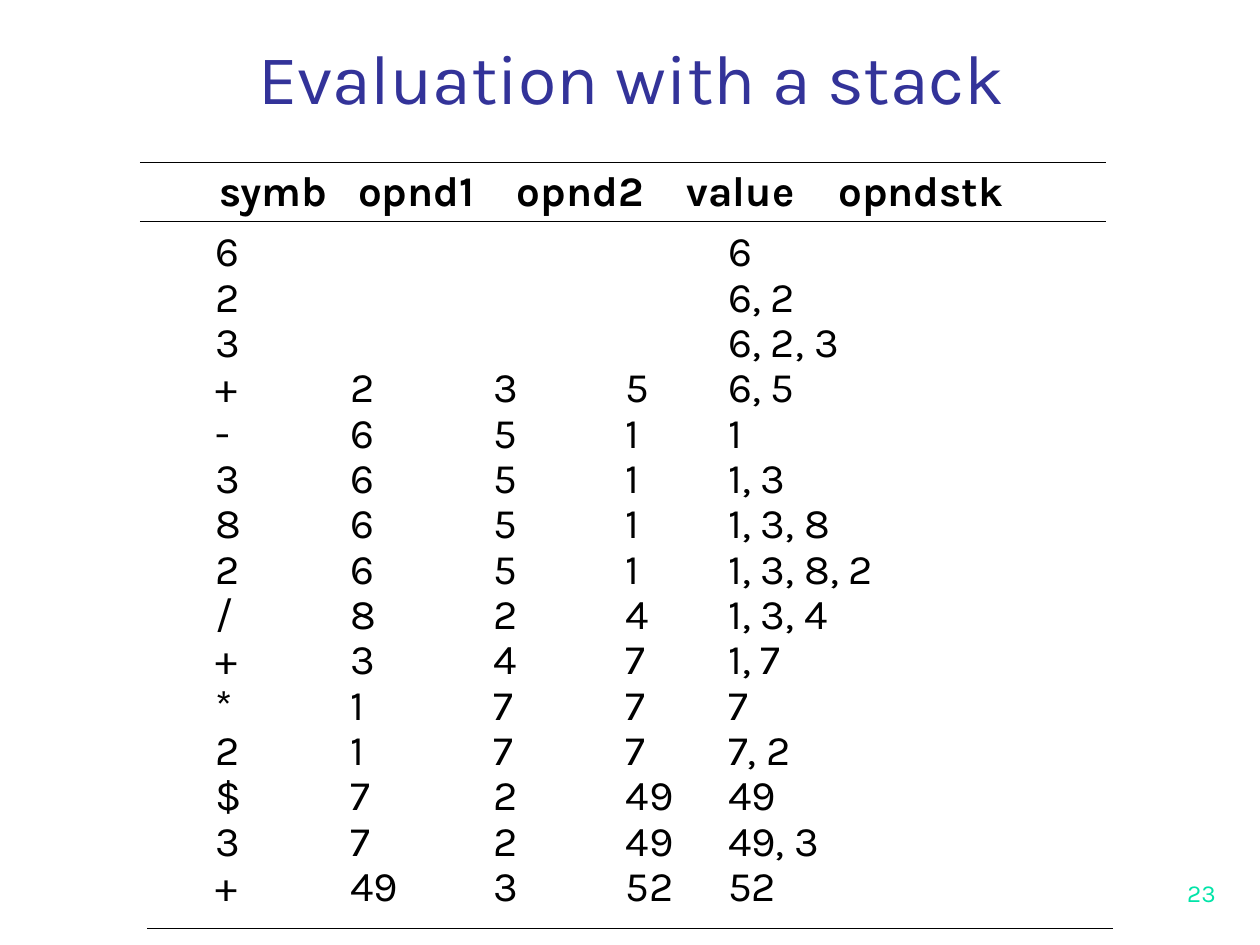
from lxml.etree import SubElement
from pptx import Presentation
from pptx.dml.color import RGBColor as RGB
from pptx.enum.shapes import MSO_CONNECTOR as Conn
from pptx.enum.text import MSO_ANCHOR as Anchor, PP_ALIGN as Align
from pptx.oxml.ns import qn
from pptx.util import Cm, Pt

# Content
TITLE = "Evaluation with a stack"
PAGE = "23"
HEADER = ("symb", "opnd1", "opnd2", "value", "opndstk")
STEPS = [
    ("6", "", "", "", "6"),
    ("2", "", "", "", "6, 2"),
    ("3", "", "", "", "6, 2, 3"),
    ("+", "2", "3", "5", "6, 5"),
    ("-", "6", "5", "1", "1"),
    ("3", "6", "5", "1", "1, 3"),
    ("8", "6", "5", "1", "1, 3, 8"),
    ("2", "6", "5", "1", "1, 3, 8, 2"),
    ("/", "8", "2", "4", "1, 3, 4"),
    ("+", "3", "4", "7", "1, 7"),
    ("*", "1", "7", "7", "7"),
    ("2", "1", "7", "7", "7, 2"),
    ("$", "7", "2", "49", "49"),
    ("3", "7", "2", "49", "49, 3"),
    ("+", "49", "3", "52", "52"),
]

# Layout in cm: column stops, measured from the text edge, and rules
HEADER_STOPS = (2.8, 6, 9.42, 12.48)
STEP_STOPS = (2.72, 5.61, 8.28, 10.34)
RULES = [(2.82, 3.28), (2.82, 4.47), (2.97, 18.72)]
RULE_WIDTH = 19.47

THEME = {
    "font": "Karla",
    "title": (Pt(40), RGB(0x33, 0x33, 0x99)),
    "body": (Pt(24), RGB(0, 0, 0)),
    "page": (Pt(14), RGB(0x00, 0xE4, 0xA8)),
}


def add_text(slide, box, lines, style, align=Align.LEFT, anchor=Anchor.TOP,
             stops=(), spacing=1.0, bold=False):
    tf = slide.shapes.add_textbox(*map(Cm, box)).text_frame
    tf.word_wrap = True
    tf.vertical_anchor = anchor
    for i, line in enumerate(lines):
        p = tf.add_paragraph() if i else tf.paragraphs[0]
        p.text = line
        p.alignment = align
        p.line_spacing = spacing
        if stops:
            tabs = SubElement(p._p.get_or_add_pPr(), qn("a:tabLst"))
            for stop in stops:
                SubElement(tabs, qn("a:tab"), pos=str(Cm(stop)), algn="l")
        p.font.name = THEME["font"]
        p.font.size, p.font.color.rgb = THEME[style]
        p.font.bold = bold


def add_rule(slide, x, y):
    line = slide.shapes.add_connector(
        Conn.STRAIGHT, Cm(x), Cm(y), Cm(x + RULE_WIDTH), Cm(y))
    line.line.color.rgb = THEME["body"][1]
    line.line.width = Pt(0.75)
    SubElement(line._element.spPr, qn("a:effectLst"))


def main():
    prs = Presentation()
    prs.slide_width, prs.slide_height = Cm(25.4), Cm(19.05)
    slide = prs.slides.add_slide(prs.slide_layouts[6])

    # Title
    add_text(slide, (1.9, -0.03, 21.65, 2.54), [TITLE], "title",
             Align.CENTER, Anchor.BOTTOM)

    # Trace of the evaluation, one tabbed line per symbol
    add_text(slide, (4.17, 3.2, 16.71, 1.27), ["\t".join(HEADER)], "body",
             stops=HEADER_STOPS, bold=True)
    add_text(slide, (4.09, 4.52, 19.53, 13.97), map("\t".join, STEPS), "body",
             stops=STEP_STOPS, spacing=0.9)
    for x, y in RULES:
        add_rule(slide, x, y)

    # Page number
    add_text(slide, (19.48, 17.15, 5.28, 1.27), [PAGE], "page",
             Align.RIGHT, Anchor.BOTTOM)

    prs.save("out.pptx")


if __name__ == "__main__":
    main()
